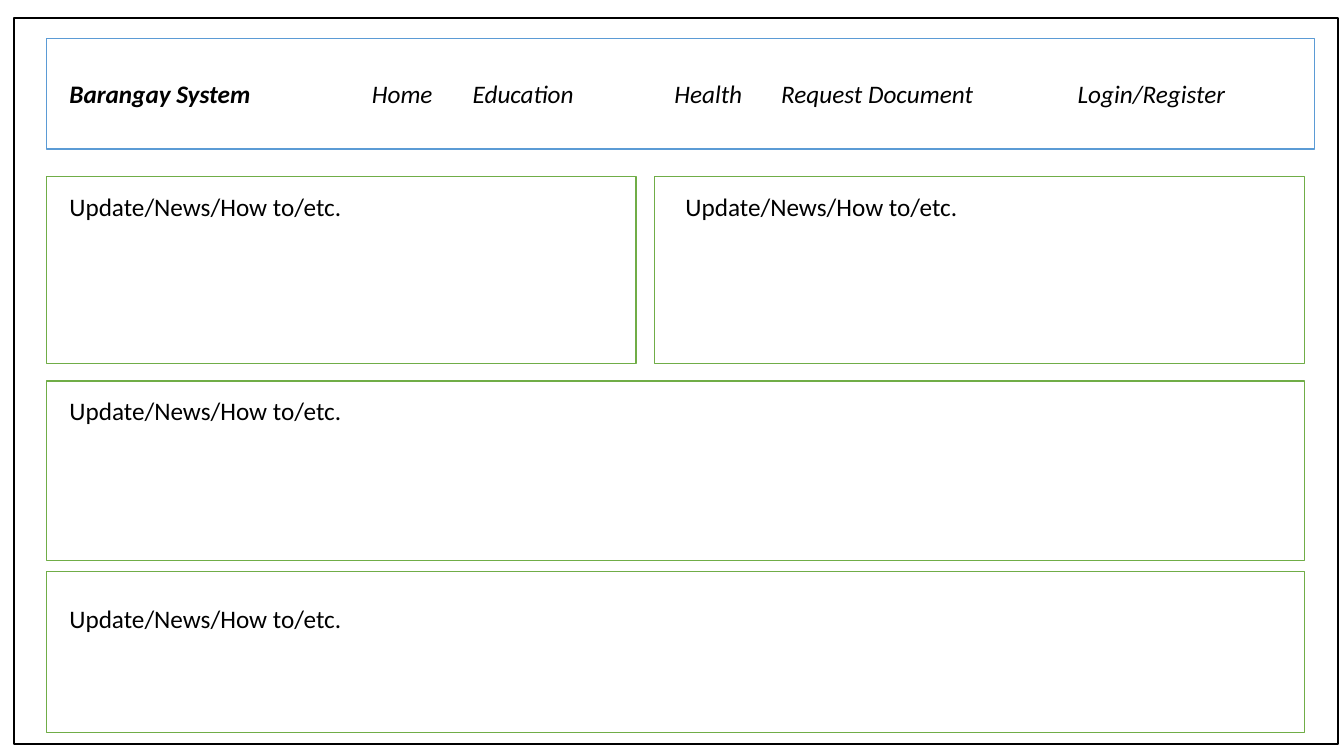
from pptx import Presentation
from pptx.dml.color import RGBColor
from pptx.enum.shapes import MSO_SHAPE
from pptx.oxml.ns import qn
from pptx.util import Inches, Pt
from lxml import etree

HUES = {"ink": "000000", "paper": "FFFFFF", "blue": "5B9BD5", "green": "70AD47"}


class Page:
    font = "Calibri"
    size = Pt(18)

    def __init__(self, deck):
        self.slide = deck.slides.add_slide(deck.slide_layouts[6])

    def hue(self, name):
        return RGBColor.from_string(HUES[name])

    def panel(self, left, top, width, height, edge):
        box = self.slide.shapes.add_shape(
            MSO_SHAPE.RECTANGLE, *map(Inches, (left, top, width, height)))
        box.shadow.inherit = False
        box.fill.solid()
        box.fill.fore_color.rgb = self.hue("paper")
        box.line.color.rgb = self.hue(edge)
        box.line.width = Pt(1)

    def label(self, left, top, width, height, text, bold=False, italic=False):
        box = self.slide.shapes.add_textbox(*map(Inches, (left, top, width, height)))
        box.text_frame.word_wrap = True
        para = box.text_frame.paragraphs[0]
        self.add_words(para, text, bold, italic)
        return para

    def add_words(self, para, text, bold=False, italic=False):
        run = para.add_run()
        run.text = text
        font = run.font
        font.name, font.size = self.font, self.size
        font.bold, font.italic = bold, italic
        font.color.rgb = self.hue("ink")

    def menu(self, left, top, width, height, title, links):
        para = self.label(left, top, width, height, title, bold=True, italic=True)
        stops = etree.SubElement(para._p.get_or_add_pPr(), qn("a:tabLst"))
        for name, stop in links:
            etree.SubElement(stops, qn("a:tab"), pos=str(Inches(stop)), algn="l")
        self.add_words(para, "".join("\t" + name for name, stop in links), italic=True)


def main():
    deck = Presentation()
    deck.slide_width, deck.slide_height = Inches(13.33), Inches(7.5)
    page = Page(deck)

    # Page frame
    page.panel(0.14, 0.18, 13.13, 7.2, "ink")

    # Top menu, each link with its tab stop
    page.panel(0.46, 0.38, 12.58, 1.1, "blue")
    page.menu(0.59, 0.73, 12.35, 0.4, "Barangay System", [
        ("Home", 3), ("Education", 4), ("Health", 6),
        ("Request Document", 7.06), ("Login/Register", 10)])

    # News panels: outline, then place of the label
    news = [
        ((0.46, 1.75, 5.85, 1.86), (0.59, 1.85, 3.17, 0.4)),
        ((6.49, 1.75, 6.45, 1.86), (6.7, 1.85, 3.79, 0.4)),
        ((0.46, 3.78, 12.48, 1.78), (0.59, 3.87, 4.52, 0.71)),
        ((0.46, 5.67, 12.48, 1.6), (0.59, 5.94, 3.73, 0.71)),
    ]
    for frame, place in news:
        page.panel(*frame, "green")
        page.label(*place, "Update/News/How to/etc.")

    deck.save("out.pptx")


if __name__ == "__main__":
    main()
